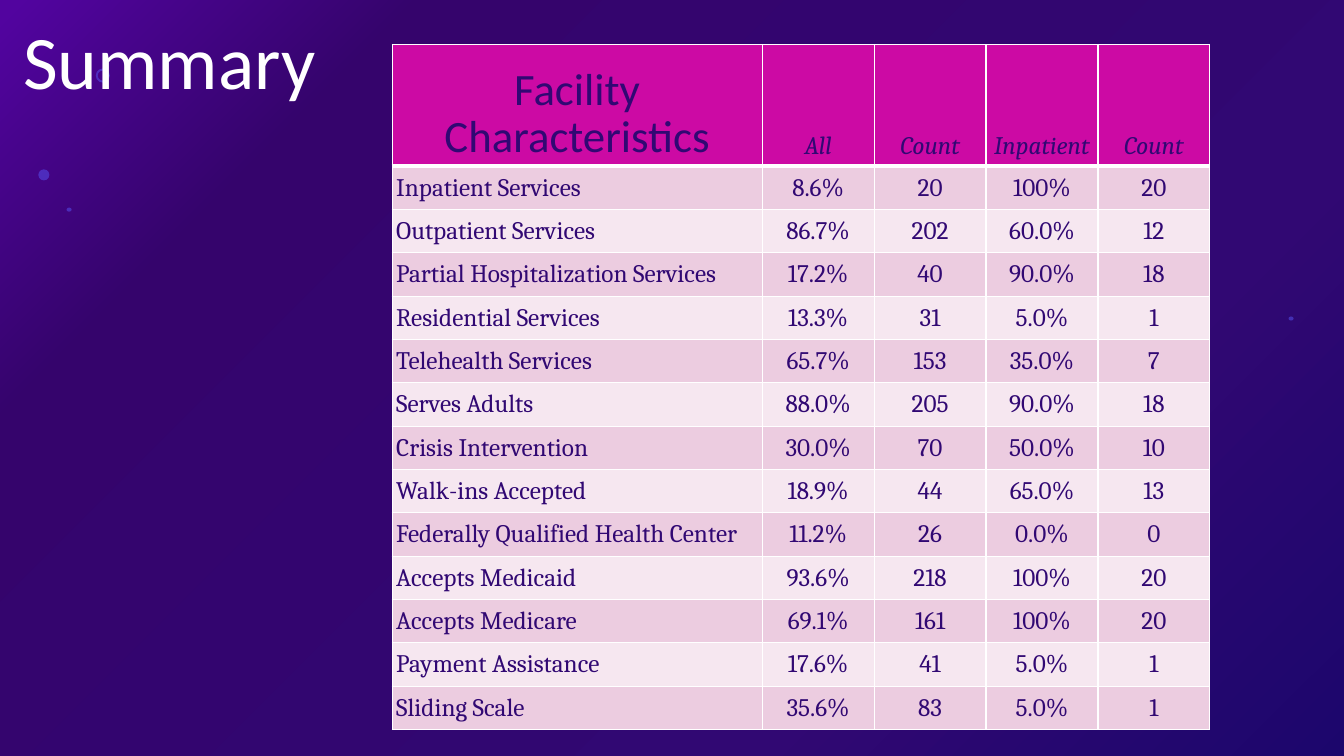
"""Build the facility characteristics summary slide."""
from dataclasses import dataclass

from lxml.etree import SubElement
from pptx import Presentation
from pptx.dml.color import RGBColor
from pptx.enum.shapes import MSO_SHAPE
from pptx.enum.text import MSO_ANCHOR, MSO_AUTO_SIZE, PP_ALIGN
from pptx.oxml import parse_xml
from pptx.oxml.ns import nsdecls, qn
from pptx.util import Inches, Pt

INDIGO, WHITE, MAGENTA, PERIWINKLE = "310873", "FFFFFF", "CC0AA4", "5956F7"
BANDS = ("ECCCE0", "F6E7F0")
GRADIENT = ((0, "070566"), (28, INDIGO), (80, "3A0066"), (99, "7400CC"))
COLUMN_WIDTHS = (3.67, 1.11, 1.11, 1.11, 1.11)
HEADER_HEIGHT, ROW_HEIGHT = 1.2, 0.43
HEADINGS = ("Facility\nCharacteristics", "All", "Count", "Inpatient", "Count")
FACILITIES = (
    ("Inpatient Services", "8.6%", "20", "100%", "20"),
    ("Outpatient Services", "86.7%", "202", "60.0%", "12"),
    ("Partial Hospitalization Services", "17.2%", "40", "90.0%", "18"),
    ("Residential Services", "13.3%", "31", "5.0%", "1"),
    ("Telehealth Services", "65.7%", "153", "35.0%", "7"),
    ("Serves Adults", "88.0%", "205", "90.0%", "18"),
    ("Crisis Intervention", "30.0%", "70", "50.0%", "10"),
    ("Walk-ins Accepted", "18.9%", "44", "65.0%", "13"),
    ("Federally Qualified Health Center", "11.2%", "26", "0.0%", "0"),
    ("Accepts Medicaid", "93.6%", "218", "100%", "20"),
    ("Accepts Medicare", "69.1%", "161", "100%", "20"),
    ("Payment Assistance", "17.6%", "41", "5.0%", "1"),
    ("Sliding Scale", "35.6%", "83", "5.0%", "1"),
)


@dataclass(frozen=True)
class Backdrop:
    kind: MSO_SHAPE
    left: float
    top: float
    width: float
    height: float
    color: str
    opacity: int


@dataclass(frozen=True)
class CellStyle:
    fill: str
    font: dict
    margins: tuple
    anchor: MSO_ANCHOR
    align: PP_ALIGN
    bottom_line: int = 1


BACKDROPS = (
    Backdrop(MSO_SHAPE.RECTANGLE, 0, 0, 13.33, 7.5, INDIGO, 50),
    Backdrop(MSO_SHAPE.DONUT, 0.95, 0.68, 0.14, 0.14, PERIWINKLE, 49),
    Backdrop(MSO_SHAPE.OVAL, 0.38, 1.68, 0.11, 0.11, PERIWINKLE, 49),
    Backdrop(MSO_SHAPE.OVAL, 0.66, 2.06, 0.05, 0.04, PERIWINKLE, 49),
    Backdrop(MSO_SHAPE.OVAL, 12.78, 3.14, 0.05, 0.04, PERIWINKLE, 49),
)
TITLE_FONT = {"name": "Calibri", "size": Pt(54), "bold": False}
TOPIC_FONT = {"name": "Calibri", "size": Pt(32), "bold": False}
BODY_FONT = {"name": "Cambria", "size": Pt(18), "bold": False}
HEADING_FONT = BODY_FONT | {"italic": True}
TOPIC = CellStyle(MAGENTA, TOPIC_FONT, (0.1, 0.18, 0.1, 0.05),
                  MSO_ANCHOR.TOP, PP_ALIGN.CENTER, 3)
HEADING = CellStyle(MAGENTA, HEADING_FONT, (0.04, 0.04, 0.04, 0.05),
                    MSO_ANCHOR.BOTTOM, PP_ALIGN.CENTER, 3)


def rgb(color: str) -> RGBColor:
    return RGBColor.from_string(color)


def apply(target, values: dict) -> None:
    for name, value in values.items():
        setattr(target, name, value)


def paint_background(page) -> None:
    page.background.fill.solid()
    stops = "".join(f'<a:gs pos="{position * 1000}"><a:srgbClr val="{color}"/></a:gs>'
                    for position, color in GRADIENT)
    gradient = parse_xml(
        f'<a:gradFill {nsdecls("a")} rotWithShape="1"><a:gsLst>{stops}</a:gsLst>'
        '<a:path path="circle"><a:fillToRect l="100000" t="100000"/></a:path></a:gradFill>')
    properties = next(page.element.iter(qn("p:bgPr")))
    properties.replace(properties[0], gradient)


def add_backdrop(page, item: Backdrop) -> None:
    bounds = map(Inches, (item.left, item.top, item.width, item.height))
    shape = page.shapes.add_shape(item.kind, *bounds)
    shape.shadow.inherit = False
    shape.line.fill.background()
    shape.fill.solid()
    shape.fill.fore_color.rgb = rgb(item.color)
    color = next(shape.element.spPr.iter(qn("a:srgbClr")))
    SubElement(color, qn("a:alpha"), val=str(item.opacity * 1000))
    if item.kind == MSO_SHAPE.DONUT:
        shape.adjustments[0] = 0.14


def place_title(page) -> None:
    title = page.shapes.title
    title.element.getparent().append(title.element)
    apply(title, {"left": Inches(0.13), "top": Inches(0.09),
                  "width": Inches(3.33), "height": Inches(1.01)})
    frame = title.text_frame
    frame.text = "Summary"
    apply(frame, {"word_wrap": True, "auto_size": MSO_AUTO_SIZE.NONE,
                  "vertical_anchor": MSO_ANCHOR.TOP})
    para = frame.paragraphs[0]
    para.alignment = PP_ALIGN.LEFT
    apply(para.runs[0].font, TITLE_FONT)
    para.runs[0].font.color.rgb = rgb(WHITE)


def draw_borders(cell, bottom_line: int) -> None:
    properties = cell._tc.get_or_add_tcPr()
    for side, width in zip("LRTB", (1, 1, 1, bottom_line)):
        line = SubElement(properties, qn(f"a:ln{side}"), w=str(Pt(width)))
        SubElement(SubElement(line, qn("a:solidFill")), qn("a:srgbClr"), val=WHITE)


def write_cell(cell, text: str, style: CellStyle) -> None:
    draw_borders(cell, style.bottom_line)
    cell.fill.solid()
    cell.fill.fore_color.rgb = rgb(style.fill)
    cell.text = text
    cell.vertical_anchor = style.anchor
    sides = ("margin_left", "margin_top", "margin_right", "margin_bottom")
    apply(cell, dict(zip(sides, map(Inches, style.margins))))
    for index, para in enumerate(cell.text_frame.paragraphs):
        para.alignment = style.align
        if index:
            para.line_spacing = 0.8
        for span in para.runs:
            apply(span.font, style.font)
            span.font.color.rgb = rgb(INDIGO)


def body_style(row: int, column: int) -> CellStyle:
    align = PP_ALIGN.CENTER if column else PP_ALIGN.LEFT
    return CellStyle(BANDS[row % 2], BODY_FONT, (0.04, 0.07, 0.04, 0.07),
                     MSO_ANCHOR.MIDDLE, align)


def add_facility_table(page) -> None:
    height = HEADER_HEIGHT + ROW_HEIGHT * len(FACILITIES)
    table = page.shapes.add_table(
        len(FACILITIES) + 1, len(HEADINGS), Inches(3.89), Inches(0.44),
        Inches(sum(COLUMN_WIDTHS)), Inches(height)).table
    for column, width in zip(table.columns, COLUMN_WIDTHS):
        column.width = Inches(width)
    for index, row in enumerate(table.rows):
        row.height = Inches(ROW_HEIGHT if index else HEADER_HEIGHT)
    for column, text in enumerate(HEADINGS):
        write_cell(table.cell(0, column), text, HEADING if column else TOPIC)
    for row, values in enumerate(FACILITIES):
        for column, text in enumerate(values):
            write_cell(table.cell(row + 1, column), text, body_style(row, column))


def main() -> None:
    deck = Presentation()
    apply(deck, {"slide_width": Inches(13.33), "slide_height": Inches(7.5)})
    page = deck.slides.add_slide(deck.slide_layouts.get_by_name("Title Only"))
    paint_background(page)
    for item in BACKDROPS:
        add_backdrop(page, item)
    place_title(page)
    add_facility_table(page)
    deck.save("out.pptx")


if __name__ == "__main__":
    main()
